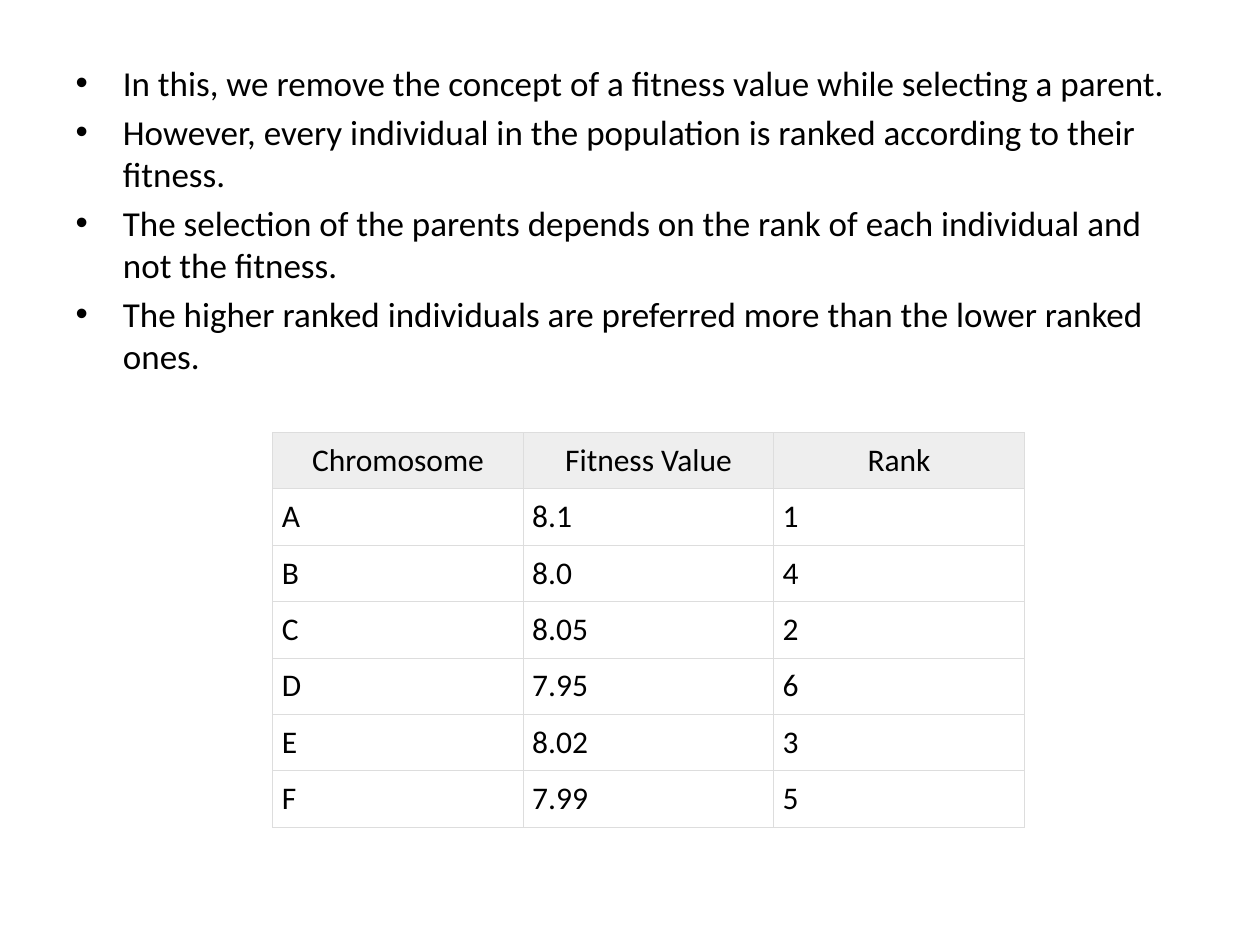
import dataclasses

import lxml.etree
import pptx
import pptx.dml.color
import pptx.enum.text
import pptx.oxml.ns
import pptx.util

Cm = pptx.util.Cm
Pt = pptx.util.Pt
FONT = "Calibri"
INK, EDGE, HEAD = "000000", "DDDDDD", "EEEEEE"

POINTS = (
    "In this, we remove the concept of a fitness value while selecting a parent.",
    "However, every individual in the population is ranked according to their fitness.",
    "The selection of the parents depends on the rank of each individual and not the fitness.",
    "The higher ranked individuals are preferred more than the lower ranked ones.",
)


@dataclasses.dataclass
class Row:
    name: str
    value: str
    rank: str
    head: bool = False


ROWS = (
    Row("Chromosome", "Fitness Value", "Rank", head=True),
    Row("A", "8.1", "1"),
    Row("B", "8.0", "4"),
    Row("C", "8.05", "2"),
    Row("D", "7.95", "6"),
    Row("E", "8.02", "3"),
    Row("F", "7.99", "5"),
)
COLS = 3
LEFT, TOP, WIDE, HIGH = 5.5, 8.72, 5.05, 1.11


def paint(target, code: str) -> None:
    """Give a solid fill or a font the colour of a hex string."""
    if hasattr(target, "solid"):
        target.solid()
        color = target.fore_color
    else:
        color = target.color
    color.rgb = pptx.dml.color.RGBColor.from_string(code)


def write(para, text: str, size: float) -> None:
    run = para.add_run()
    run.text = text
    run.font.name = FONT
    run.font.size = Pt(size)
    run.font.bold = False
    paint(run.font, INK)


def edge(cell) -> None:
    """Draw the four borders; must come before the cell's fill."""
    qn = pptx.oxml.ns.qn
    props = cell._tc.get_or_add_tcPr()
    for side in ("lnL", "lnR", "lnT", "lnB"):
        line = lxml.etree.SubElement(props, qn(f"a:{side}"), w=str(Pt(0.6)))
        fill = lxml.etree.SubElement(line, qn("a:solidFill"))
        lxml.etree.SubElement(fill, qn("a:srgbClr"), val=EDGE)


def draw_cell(cell, text: str, head: bool) -> None:
    cell.margin_left = cell.margin_right = Cm(0.18)
    cell.margin_top = cell.margin_bottom = Cm(0.18)
    edge(cell)
    para = cell.text_frame.paragraphs[0]
    write(para, text, 18)
    if head:
        para.alignment = pptx.enum.text.PP_ALIGN.CENTER
        paint(cell.fill, HEAD)
    else:
        cell.fill.background()


def draw_list(body) -> None:
    body.left, body.top = Cm(1.27), Cm(1.12)
    body.width, body.height = Cm(22.86), Cm(15.9)
    frame = body.text_frame
    for i, text in enumerate(POINTS):
        para = frame.add_paragraph() if i else frame.paragraphs[0]
        write(para, text, 20)


def draw_table(slide) -> None:
    frame = slide.shapes.add_table(
        len(ROWS), COLS, Cm(LEFT), Cm(TOP), Cm(WIDE * COLS), Cm(HIGH * len(ROWS))
    )
    table = frame.table
    table.first_row = table.horz_banding = False
    for r, row in enumerate(ROWS):
        for c, text in enumerate((row.name, row.value, row.rank)):
            draw_cell(table.cell(r, c), text, row.head)


def main() -> None:
    deck = pptx.Presentation()
    deck.slide_width, deck.slide_height = Cm(25.4), Cm(19.05)
    slide = deck.slides.add_slide(deck.slide_layouts[1])
    title = slide.shapes.title.element
    title.getparent().remove(title)
    draw_list(slide.placeholders[1])
    draw_table(slide)
    deck.save("out.pptx")


if __name__ == "__main__":
    main()
